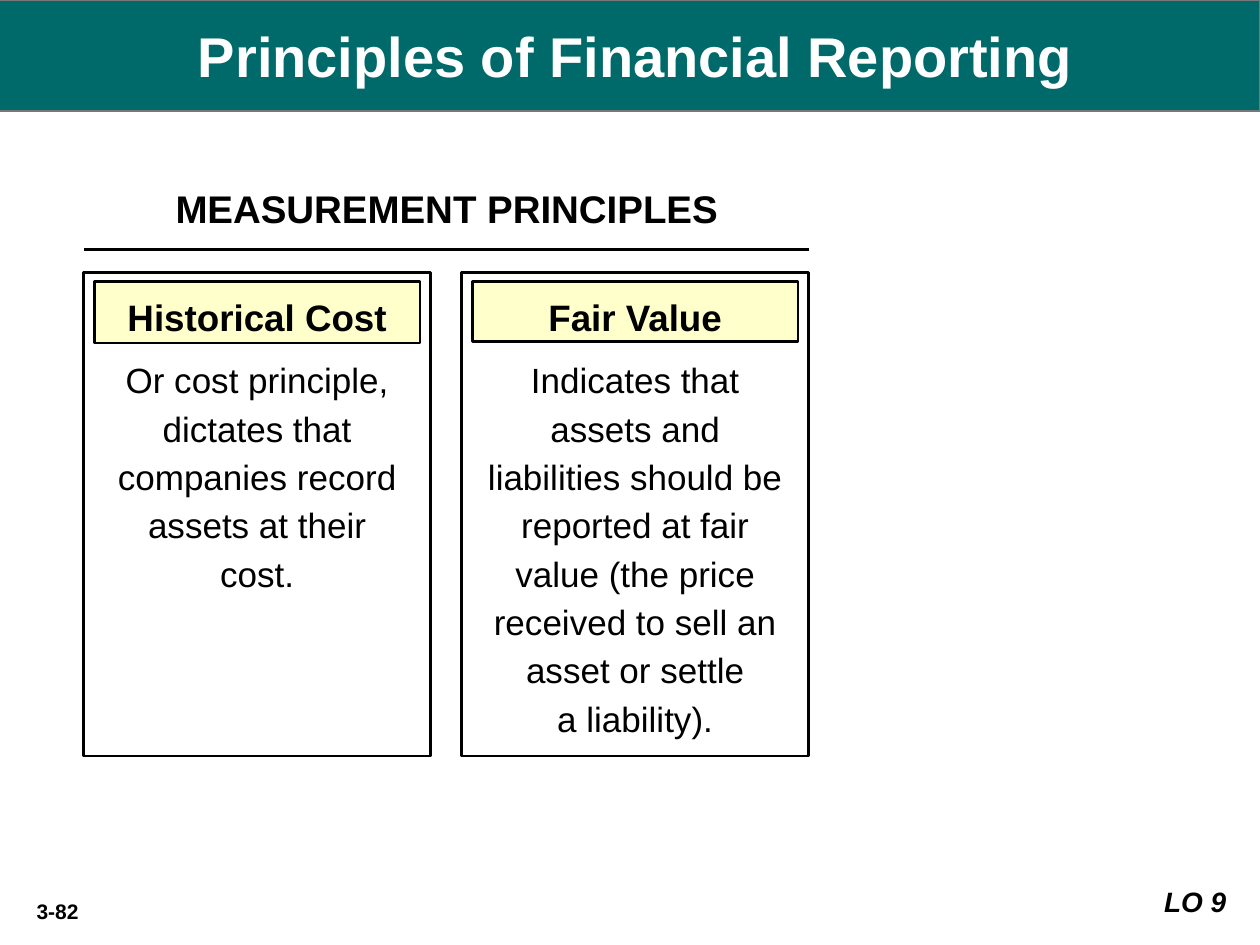
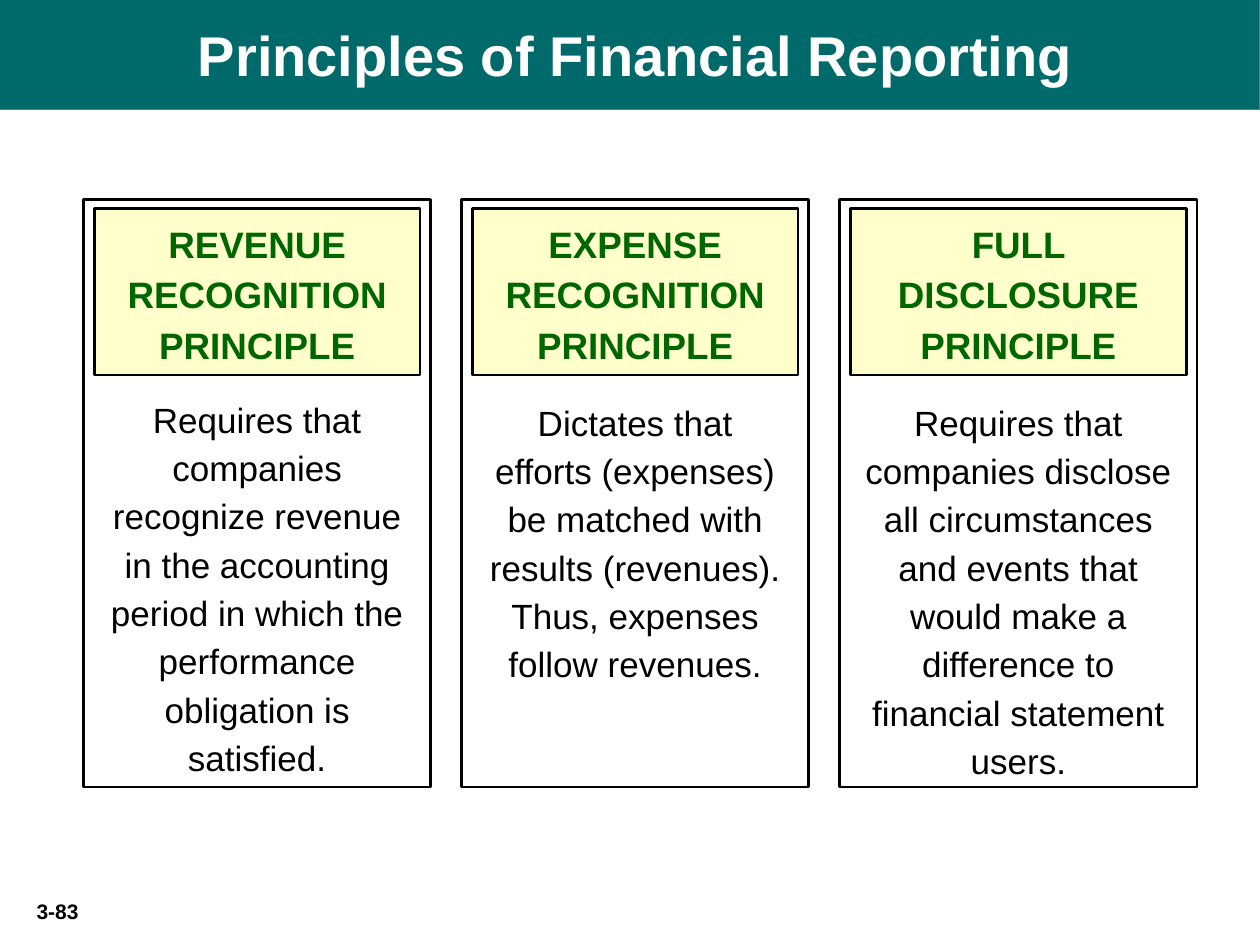
from lxml.etree import SubElement
from pptx import Presentation
from pptx.dml.color import RGBColor
from pptx.enum.shapes import MSO_CONNECTOR, MSO_SHAPE
from pptx.enum.text import MSO_ANCHOR, MSO_AUTO_SIZE, PP_ALIGN
from pptx.oxml.ns import qn
from pptx.util import Cm, Pt

HUES = {"teal": "006A6A", "grey": "777777", "cream": "FFFFCC",
        "green": "006600", "black": "000000", "white": "FFFFFF"}
FONT = "Arial"
TITLE = "Principles of Financial Reporting"

# Column grid in cm
LEFT, STEP, PAD = 1.69, 7.62, 0.21


def write(shape, lines, size, hue="black", bold=False, italic=False,
          align=PP_ALIGN.CENTER, space=1.0, anchor=MSO_ANCHOR.TOP):
    """Fill a shape with one formatted run per paragraph."""
    frame = shape.text_frame
    frame.word_wrap = True
    frame.auto_size = MSO_AUTO_SIZE.NONE
    frame.vertical_anchor = anchor
    frame.margin_left = frame.margin_right = Cm(0.25)
    frame.margin_top = frame.margin_bottom = Cm(0.13)
    for i, line in enumerate(lines):
        para = frame.add_paragraph() if i else frame.paragraphs[0]
        para.alignment = align
        para.line_spacing = space
        run = para.add_run()
        run.text = line
        font = run.font
        font.name, font.size = FONT, Pt(size)
        font.bold, font.italic = bold, italic
        font.color.rgb = RGBColor.from_string(HUES[hue])


def add_box(slide, left, top, width, height, fill=None, line=None):
    """Add a plain rectangle, with lengths in cm."""
    box = slide.shapes.add_shape(MSO_SHAPE.RECTANGLE, Cm(left), Cm(top),
                                 Cm(width), Cm(height))
    box.shadow.inherit = False
    if fill:
        box.fill.solid()
        box.fill.fore_color.rgb = RGBColor.from_string(HUES[fill])
    else:
        box.fill.background()
    if line:
        box.line.color.rgb = RGBColor.from_string(HUES[line])
        box.line.width = Pt(1.5)
    else:
        box.line.fill.background()
    return box


# Each card: heading, heading height, body top, body paragraphs, card width
pages = [
    {"num": "3-82", "band": 0, "top": 5.5, "high": 9.74, "hue": "black",
     "cards": [
         ("Historical Cost", 1.24, 6.98,
          ["Or cost principle, dictates that companies record assets "
           "at their cost."], 6.99),
         ("Fair Value", 1.2, 6.98,
          ["Indicates that assets and liabilities should be reported at "
           "fair value (the price received to sell an asset or settle",
           "a liability)."], 6.99)]},
    {"num": "3-83", "band": -0.03, "top": 4.02, "high": 11.85, "hue": "green",
     "cards": [
         ("REVENUE RECOGNITION PRINCIPLE", 3.36, 7.77,
          ["Requires that companies recognize revenue in the accounting "
           "period in which the performance obligation is satisfied."], 6.99),
         ("EXPENSE RECOGNITION PRINCIPLE", 3.36, 7.83,
          ["Dictates that efforts (expenses) be matched with results "
           "(revenues). Thus, expenses follow revenues."], 6.99),
         ("FULL DISCLOSURE PRINCIPLE", 3.36, 7.83,
          ["Requires that companies disclose all circumstances",
           "and events that would make a difference to financial "
           "statement users."], 7.2)]},
]

deck = Presentation()
deck.slide_width, deck.slide_height = Cm(25.4), Cm(19.05)
slides = []

for page in pages:
    slide = deck.slides.add_slide(deck.slide_layouts[5])
    slides.append(slide)

    # Title band
    title = slide.shapes.title
    title.left, title.top = Cm(-0.05), Cm(page["band"])
    title.width, title.height = Cm(25.45), Cm(2.24)
    title.fill.solid()
    title.fill.fore_color.rgb = RGBColor.from_string(HUES["teal"])
    title.line.color.rgb = RGBColor.from_string(HUES["grey"])
    title.line.width = Pt(1)
    write(title, [TITLE], 32, "white", bold=True, anchor=MSO_ANCHOR.MIDDLE)
    title.text_frame.margin_left = Cm(0.53)

    # Page number
    num = slide.shapes.add_textbox(Cm(0.21), Cm(17.98), Cm(1.9), Cm(0.77))
    write(num, [page["num"]], 12, bold=True)

    # Cards
    for i, (name, tall, start, lines, width) in enumerate(page["cards"]):
        left = LEFT + i * STEP
        inner = width - 2 * PAD
        add_box(slide, left, page["top"], width, page["high"], line="black")
        head = add_box(slide, left + PAD, page["top"] + PAD - 0.03, inner,
                       tall, "cream", "black")
        write(head, [name], 21, page["hue"], bold=True, space=1.15)
        body = slide.shapes.add_textbox(
            Cm(left + PAD), Cm(start), Cm(inner),
            Cm(page["top"] + page["high"] - start))
        write(body, lines, 20, space=1.15)

# Group heading and rule on the first slide
first = slides[0]
group = first.shapes.add_textbox(Cm(2.97), Cm(3.6), Cm(12.07), Cm(1.2))
write(group, ["MEASUREMENT PRINCIPLES"], 22, bold=True)
rule = first.shapes.add_connector(MSO_CONNECTOR.STRAIGHT, Cm(LEFT), Cm(5.03),
                                  Cm(LEFT + STEP + 6.99), Cm(5.03))
rule.line.color.rgb = RGBColor.from_string(HUES["black"])
rule.line.width = Pt(2.25)
SubElement(rule._element.spPr, qn("a:effectLst"))

# Learning objective tag
tag = add_box(first, 23.07, 17.7, 1.9, 0.94, "white")
write(tag, ["LO 9"], 16, bold=True, italic=True, align=PP_ALIGN.RIGHT)

deck.save("out.pptx")
